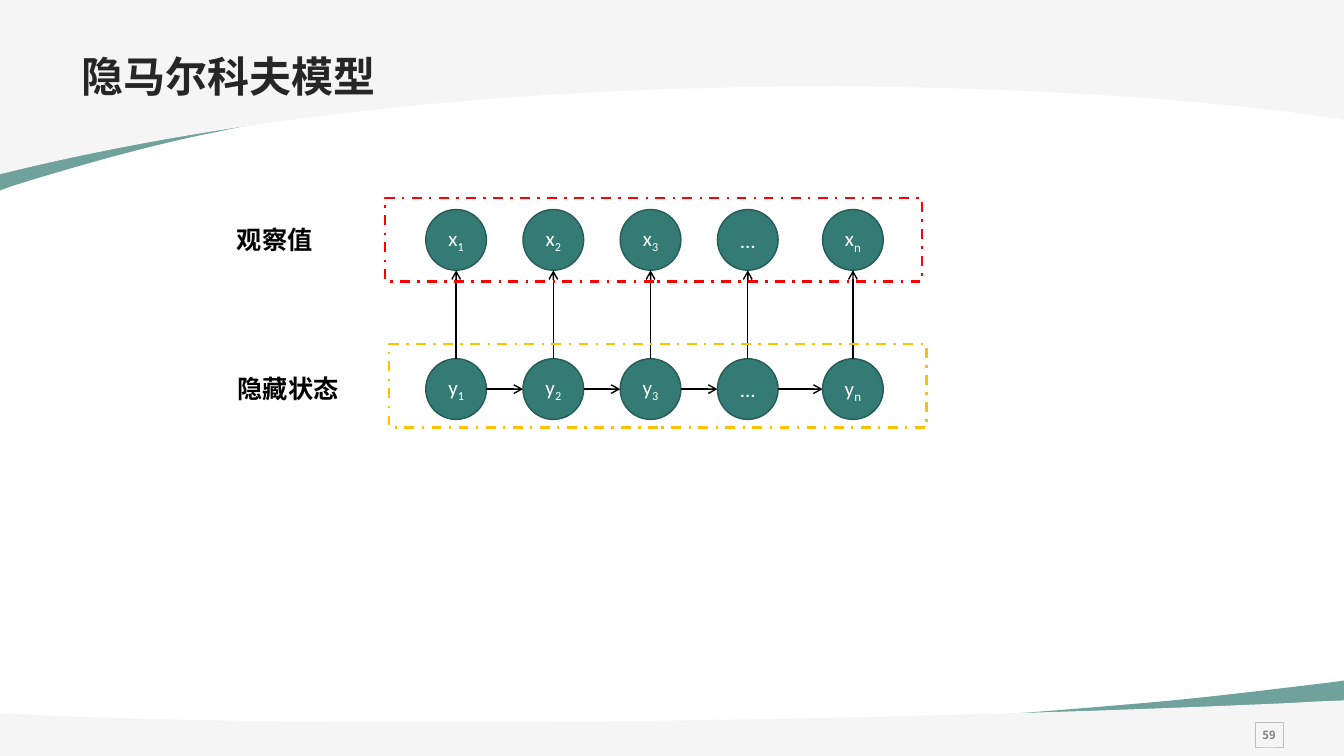
from lxml.etree import SubElement
from pptx import Presentation
from pptx.dml.color import RGBColor
from pptx.enum.dml import MSO_LINE
from pptx.enum.shapes import MSO_CONNECTOR, MSO_SHAPE
from pptx.enum.text import MSO_ANCHOR, PP_ALIGN
from pptx.oxml.ns import qn
from pptx.util import Cm, Pt

COLORS = {
    "teal": "337B74", "teal_edge": "265B56", "band": "F5F5F5",
    "white": "FFFFFF", "black": "000000", "title": "262626",
    "number": "808080", "number_edge": "BFBFBF",
    "observed": "FF0000", "hidden": "FFC000",
}
CJK = "Noto Sans CJK SC"
LATIN = "Calibri"
DIAMETER = 1.53
OBSERVED_TOP, HIDDEN_TOP = 5.28, 9.04
COLUMNS = [(10.73, "1", 15), (13.18, "2", 15), (15.63, "3", 15),
           (18.08, "", 15), (20.73, "n", 16)]

# Two numbers are a corner, six numbers are a Bézier curve; all in cm.
WAVES = [
    ("teal", 70, [(0, 4.8), (0, 0.56), (33.87, 0.56), (33.87, 2.31),
                  (26.21, 0.15, 13.06, 1.7, 5.44, 3.33),
                  (3.91, 3.63, 2.18, 4.11, 0.36, 4.67)]),
    ("band", 100, [(0, 0), (33.87, 0), (33.87, 3.02),
                   (28.96, 2.21, 13.13, 1.14, 0, 4.39)]),
    ("teal", 70, [(33.87, 17.15), (33.87, 18.9), (0, 18.9), (0, 18.17),
                  (7.65, 19.05, 20.83, 18.42, 28.42, 17.75),
                  (29.95, 17.63, 31.67, 17.42, 33.5, 17.2)]),
    ("band", 100, [(33.87, 17.65), (33.87, 19.05), (0, 19.05), (0, 17.98),
                   (1.12, 18.03),
                   (10, 18.39, 23.11, 18.11, 30.99, 17.78),
                   (31.65, 17.75, 32.35, 17.73, 33.12, 17.68)]),
]


def rgb(name):
    """Return the named colour."""
    return RGBColor.from_string(COLORS[name])


def format_run(r, size, color, font=CJK, bold=False):
    """Set size, colour and typeface of a run."""
    r.font.size = Pt(size)
    r.font.bold = bold
    r.font.color.rgb = rgb(color)
    r.font.name = font
    SubElement(r.font._element, qn("a:ea")).set("typeface", font)


def style_shape(sp, fill=None, line=None, width=1):
    """Give a shape its fill and outline, without a shadow."""
    sp.shadow.inherit = False
    if fill:
        sp.fill.solid()
        sp.fill.fore_color.rgb = rgb(fill)
    else:
        sp.fill.background()
    if line:
        sp.line.color.rgb = rgb(line)
        sp.line.width = Pt(width)
    else:
        sp.line.fill.background()


def bend_segments(sp, steps):
    """Turn the straight segments that stand for curves into Bézier curves."""
    segments = list(sp._element.iter(qn("a:lnTo")))
    for segment, step in zip(segments, steps[1:]):
        if len(step) == 6:
            segment.tag = qn("a:cubicBezTo")
            for i in (0, 2):
                pt = segment.makeelement(qn("a:pt"), {
                    "x": str(Cm(step[i]) - sp.left),
                    "y": str(Cm(step[i + 1]) - sp.top)})
                segment.insert(i // 2, pt)


def add_wave(slide, color, opacity, steps):
    """Draw one curved background band."""
    start, *rest = [(Cm(step[-2]), Cm(step[-1])) for step in steps]
    builder = slide.shapes.build_freeform(*start)
    builder.add_line_segments(rest, close=True)
    sp = builder.convert_to_shape()
    bend_segments(sp, steps)
    style_shape(sp, color)
    if opacity < 100:
        clr = sp._element.spPr.find(".//" + qn("a:srgbClr"))
        SubElement(clr, qn("a:alpha")).set("val", str(opacity * 1000))


def add_title(slide, text):
    """Place and format the title placeholder in front of the waves."""
    sp = slide.shapes.title
    slide.shapes._spTree.append(sp._element)
    sp.left, sp.top, sp.width, sp.height = Cm(1.85), Cm(1.22), Cm(30.15), Cm(2.84)
    tf = sp.text_frame
    tf.text = text
    tf.word_wrap = False
    tf.vertical_anchor = MSO_ANCHOR.TOP
    tf.margin_left = tf.margin_top = tf.margin_bottom = Cm(0.2)
    tf.margin_right = 0
    p = tf.paragraphs[0]
    p.alignment = PP_ALIGN.LEFT
    p.line_spacing = 0.9
    format_run(p.runs[0], 30, "title", bold=True)


def add_page_number(slide, text):
    """Draw the boxed page number."""
    sp = slide.shapes.add_shape(MSO_SHAPE.RECTANGLE, Cm(31.63), Cm(18.21),
                                Cm(0.71), Cm(0.64))
    style_shape(sp, line="number_edge", width=0.75)
    tf = sp.text_frame
    tf.text = text
    tf.word_wrap = False
    tf.vertical_anchor = MSO_ANCHOR.MIDDLE
    tf.margin_left = tf.margin_right = tf.margin_top = tf.margin_bottom = Cm(0.2)
    p = tf.paragraphs[0]
    p.alignment = PP_ALIGN.CENTER
    format_run(p.runs[0], 8, "number", bold=True)


def add_node(slide, left, top, letter, sub, sub_size):
    """Draw a circle holding a subscripted variable or an ellipsis."""
    sp = slide.shapes.add_shape(MSO_SHAPE.OVAL, Cm(left), Cm(top),
                                Cm(DIAMETER), Cm(DIAMETER))
    style_shape(sp, "teal", "teal_edge")
    tf = sp.text_frame
    tf.vertical_anchor = MSO_ANCHOR.MIDDLE
    p = tf.paragraphs[0]
    p.text = letter if sub else "..."
    p.alignment = PP_ALIGN.CENTER
    format_run(p.runs[0], 15, "white", LATIN)
    if sub:
        r = p.add_run()
        r.text = sub
        format_run(r, sub_size, "white", LATIN)
        r.font._element.set("baseline", "-25000")


def add_arrow(slide, x1, y1, x2, y2):
    """Draw a thin black arrow."""
    cxn = slide.shapes.add_connector(MSO_CONNECTOR.STRAIGHT,
                                     Cm(x1), Cm(y1), Cm(x2), Cm(y2))
    cxn.line.color.rgb = rgb("black")
    cxn.line.width = Pt(1)
    SubElement(cxn.line._get_or_add_ln(), qn("a:tailEnd")).set("type", "arrow")
    SubElement(cxn._element.spPr, qn("a:effectLst"))


def add_frame(slide, left, top, color):
    """Draw a dash-dot frame around a row of nodes."""
    sp = slide.shapes.add_shape(MSO_SHAPE.RECTANGLE, Cm(left), Cm(top),
                                Cm(13.54), Cm(2.1))
    style_shape(sp, line=color, width=1.75)
    sp.line.dash_style = MSO_LINE.DASH_DOT


def add_label(slide, left, top, text):
    """Write the bold name of a row."""
    tf = slide.shapes.add_textbox(Cm(left), Cm(top), Cm(3.91), Cm(1.02)).text_frame
    tf.word_wrap = True
    tf.text = text
    format_run(tf.paragraphs[0].runs[0], 18, "black", bold=True)


def main():
    """Build the hidden Markov model slide."""
    prs = Presentation()
    prs.slide_width, prs.slide_height = Cm(33.87), Cm(19.05)
    slide = prs.slides.add_slide(prs.slide_layouts[5])
    for wave in WAVES:
        add_wave(slide, *wave)
    add_page_number(slide, "59")
    for left, sub, sub_size in COLUMNS:
        add_node(slide, left, OBSERVED_TOP, "x", sub, sub_size)
        add_node(slide, left, HIDDEN_TOP, "y", sub, sub_size)
        center = left + DIAMETER / 2
        add_arrow(slide, center, HIDDEN_TOP, center, OBSERVED_TOP + DIAMETER)
    hidden_middle = HIDDEN_TOP + DIAMETER / 2
    for (left, *_), (next_left, *_) in zip(COLUMNS, COLUMNS[1:]):
        add_arrow(slide, left + DIAMETER, hidden_middle, next_left, hidden_middle)
    add_frame(slide, 9.7, 4.99, "observed")
    add_label(slide, 5.72, 5.52, "观察值")
    add_frame(slide, 9.81, 8.67, "hidden")
    add_label(slide, 5.74, 9.29, "隐藏状态")
    add_title(slide, "隐马尔科夫模型")
    prs.save("out.pptx")


if __name__ == "__main__":
    main()
